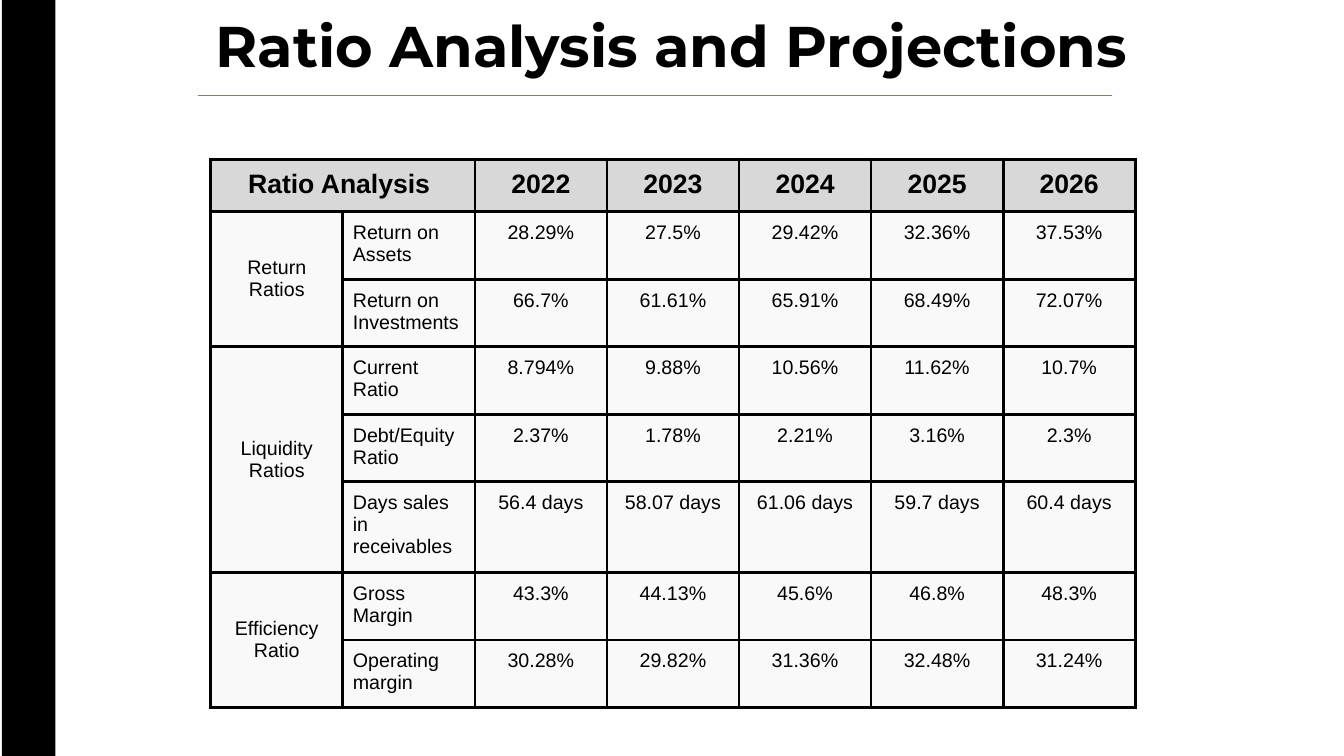
from dataclasses import dataclass

from lxml.etree import SubElement
from pptx import Presentation
from pptx.dml.color import RGBColor as RGB
from pptx.enum.shapes import MSO_CONNECTOR as Link, MSO_SHAPE as Shape
from pptx.enum.text import MSO_ANCHOR as Anchor, PP_ALIGN as Align
from pptx.oxml.ns import qn
from pptx.util import Inches, Pt

TITLE = "Ratio Analysis and Projections"
CORNER = "Ratio Analysis "
YEARS = ["2022", "2023", "2024", "2025", "2026"]
GROUPS = [
    ("Return Ratios", [
        ("Return on Assets", ["28.29%", "27.5%", "29.42%", "32.36%", "37.53%"]),
        ("Return on Investments", ["66.7%", "61.61%", "65.91%", "68.49%", "72.07%"]),
    ]),
    ("Liquidity Ratios", [
        ("Current Ratio", ["8.794%", "9.88%", "10.56%", "11.62%", "10.7%"]),
        ("Debt/Equity Ratio", ["2.37%", "1.78%", "2.21%", "3.16%", "2.3%"]),
        ("Days sales in receivables",
         ["56.4 days", "58.07 days", "61.06 days", "59.7 days", "60.4 days"]),
    ]),
    ("Efficiency Ratio", [
        ("Gross Margin", ["43.3%", "44.13%", "45.6%", "46.8%", "48.3%"]),
        ("Operating margin", ["30.28%", "29.82%", "31.36%", "32.48%", "31.24%"]),
    ]),
]
HEIGHTS = [0.52, 0.67, 0.67, 0.67, 0.67, 0.9, 0.67, 0.67]
COL = 1.31


@dataclass(frozen=True)
class Theme:
    ink: str = "000000"
    rule: str = "A57358"
    head: str = "D8D8D8"
    body: str = "F9F9F9"
    title_font: str = "Montserrat"
    font: str = "Arial"
    title_size: int = 41
    head_size: int = 19
    size: int = 14
    border: float = 2.25
    pad: float = 0.1


THEME = Theme()


def color(code):
    return RGB.from_string(code)


def write(frame, text, size, font, bold=False, align=Align.CENTER):
    para = frame.paragraphs[0]
    para.alignment = align
    run = para.add_run()
    run.text = text
    run.font.name = font
    run.font.size = Pt(size)
    run.font.bold = bold
    run.font.color.rgb = color(THEME.ink)


def pad(box):
    """Set the same inner margin on all sides of a cell or text frame."""
    box.margin_left = box.margin_right = Inches(THEME.pad)
    box.margin_top = box.margin_bottom = Inches(THEME.pad)


def style(cell, fill):
    """Give a cell its borders, margins and fill."""
    props = cell._tc.get_or_add_tcPr()
    for side in ("a:lnL", "a:lnR", "a:lnT", "a:lnB"):
        line = SubElement(props, qn(side), w=str(Pt(THEME.border)))
        solid = SubElement(line, qn("a:solidFill"))
        SubElement(solid, qn("a:srgbClr"), val=THEME.ink)
    pad(cell)
    cell.fill.solid()
    cell.fill.fore_color.rgb = color(fill)


def add_rule(slide):
    y = Inches(0.95)
    rule = slide.shapes.add_connector(Link.STRAIGHT, Inches(1.96), y, Inches(11.03), y)
    rule.line.color.rgb = color(THEME.rule)
    rule.line.width = Pt(0.75)
    SubElement(rule._element.spPr, qn("a:effectLst"))


def add_band(slide):
    band = slide.shapes.add_shape(
        Shape.RECTANGLE, Inches(0.02), 0, Inches(0.53), Inches(7.51))
    band.shadow.inherit = False
    band.fill.solid()
    band.fill.fore_color.rgb = color(THEME.ink)
    band.line.fill.background()


def add_title(slide):
    frame = slide.shapes.add_textbox(0, 0, Inches(13.33), Inches(1.58)).text_frame
    frame.word_wrap = True
    pad(frame)
    write(frame, TITLE, THEME.title_size, THEME.title_font, True)


def add_ratios(slide):
    cols = len(YEARS) + 2
    table = slide.shapes.add_table(
        len(HEIGHTS), cols, Inches(2.09), Inches(1.58),
        Inches(COL * cols), Inches(sum(HEIGHTS))).table
    table.first_row = table.horz_banding = False
    for col in table.columns:
        col.width = Inches(COL)
    for r, high in enumerate(HEIGHTS):
        table.rows[r].height = Inches(high)
        for c in range(cols):
            style(table.cell(r, c), THEME.body if r else THEME.head)

    def put(r, c, text, align=Align.CENTER):
        size = THEME.size if r else THEME.head_size
        write(table.cell(r, c).text_frame, text, size, THEME.font, r == 0, align)

    table.cell(0, 0).merge(table.cell(0, 1))
    put(0, 0, CORNER)
    for c, year in enumerate(YEARS, 2):
        put(0, c, year)
    row = 1
    for group, ratios in GROUPS:
        first = table.cell(row, 0)
        first.merge(table.cell(row + len(ratios) - 1, 0))
        first.vertical_anchor = Anchor.MIDDLE
        put(row, 0, group)
        for name, values in ratios:
            put(row, 1, name, Align.LEFT)
            for c, value in enumerate(values, 2):
                put(row, c, value)
            row += 1


def main():
    deck = Presentation()
    deck.slide_width, deck.slide_height = Inches(13.33), Inches(7.5)
    slide = deck.slides.add_slide(deck.slide_layouts[6])
    add_rule(slide)
    add_band(slide)
    add_title(slide)
    add_ratios(slide)
    deck.save("out.pptx")


if __name__ == "__main__":
    main()
